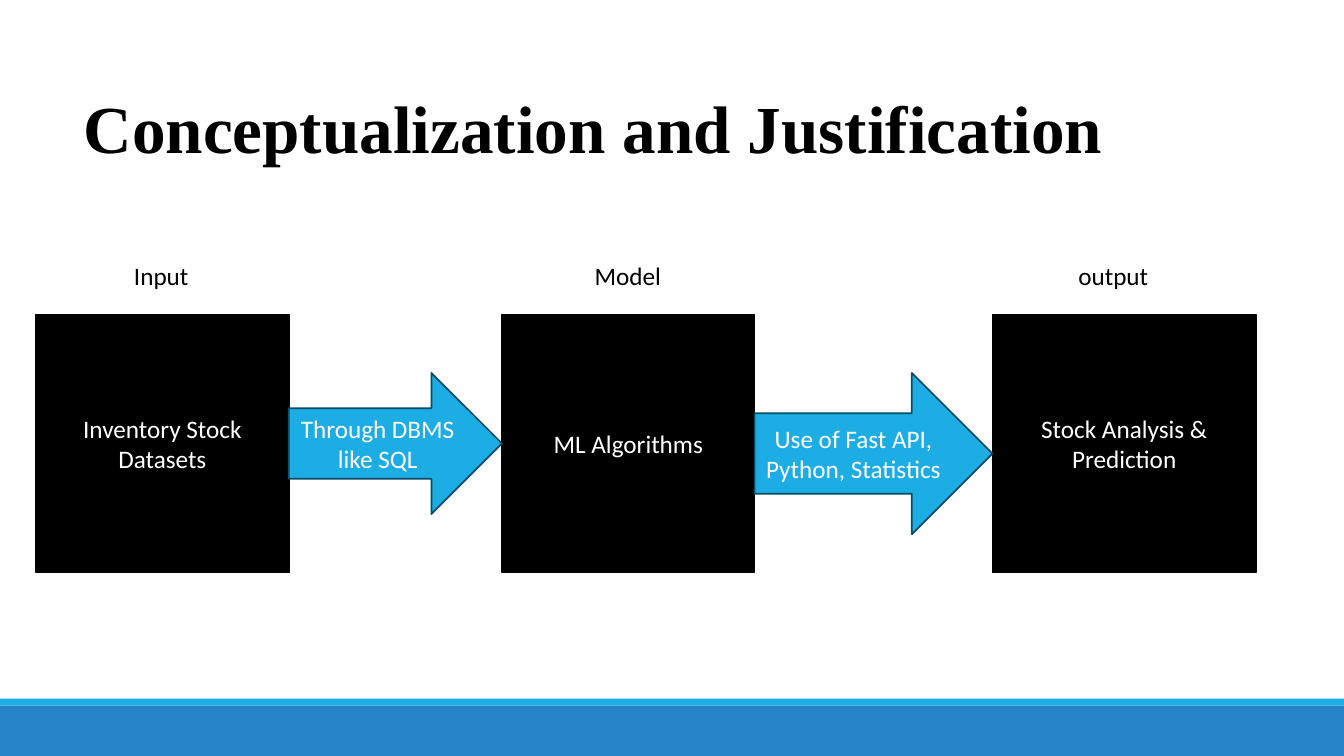
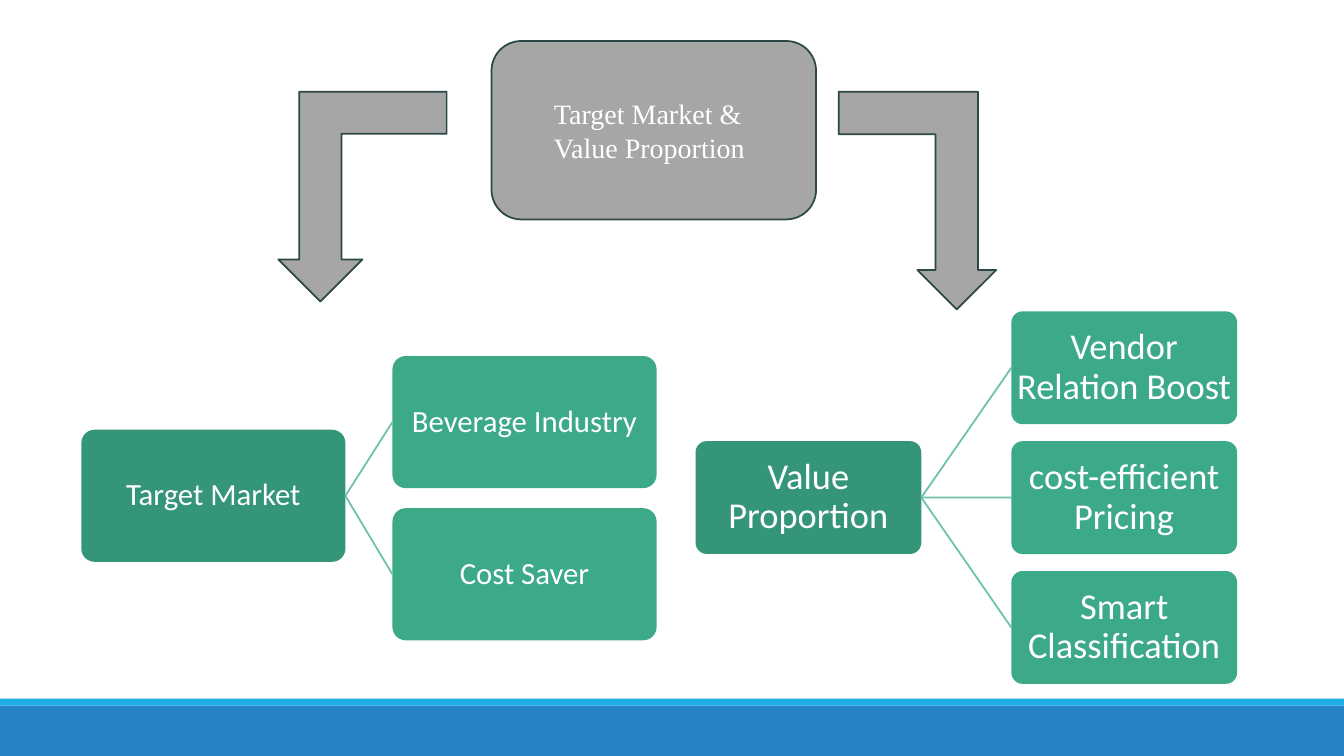
from dataclasses import dataclass
from typing import Optional

from lxml import etree
from pptx import Presentation
from pptx import util as u
from pptx.dml.color import RGBColor
from pptx.enum import shapes, text
from pptx.oxml import ns

WIDTH, HEIGHT = u.Inches(13.333), u.Inches(7.5)
COLUMN, ROW = WIDTH / 100, HEIGHT / 100

BLACK = RGBColor(0x00, 0x00, 0x00)
WHITE = RGBColor(0xFF, 0xFF, 0xFF)
BLUE = RGBColor(0x26, 0x83, 0xC6)
CYAN = RGBColor(0x1C, 0xAD, 0xE4)
NAVY = RGBColor(0x0C, 0x4C, 0x64)
GREY = RGBColor(0xA6, 0xA6, 0xA6)
SLATE = RGBColor(0x2B, 0x47, 0x46)
ROOT_GREEN = RGBColor(0x35, 0x95, 0x79)
BRANCH_GREEN = RGBColor(0x3C, 0xA9, 0x89)
LINK_GREEN = RGBColor(0x6D, 0xC2, 0xA5)
SANS, SERIF = "Calibri", "Times New Roman"
OUTLINE = u.Pt(1.25)
NODE_INSET = u.Inches(0.02)
SHAPE = shapes.MSO_SHAPE


@dataclass(frozen=True)
class Area:
    left: float
    top: float
    width: float
    height: float

    def emu(self) -> tuple[int, int, int, int]:
        return (round(self.left * COLUMN), round(self.top * ROW),
                round(self.width * COLUMN), round(self.height * ROW))


@dataclass(frozen=True)
class Type:
    size: float
    color: RGBColor = WHITE
    font: str = SANS
    bold: bool = False
    align: text.PP_ALIGN = text.PP_ALIGN.CENTER


@dataclass(frozen=True)
class Stage:
    caption: str
    caption_left: float
    content: str
    left: float
    width: float


@dataclass(frozen=True)
class Flow:
    content: str
    height: float


@dataclass(frozen=True)
class Tree:
    root: str
    branches: tuple[str, ...]
    root_left: float
    root_top: float
    branch_left: float
    branch_top: float
    pitch: float
    width: float
    height: float
    size: float


BANDS = ((Area(0, 93.33, 100, 6.67), BLUE), (Area(0, 92.4, 100, 0.93), CYAN))
TITLE = Type(48, BLACK, SERIF, True, text.PP_ALIGN.LEFT)
CAPTION = Type(18, BLACK, align=text.PP_ALIGN.LEFT)
HUB = Type(20, font=SERIF, align=text.PP_ALIGN.LEFT)
BODY = Type(18)

STAGES = (
    Stage("Input", 9.23, "Inventory Stock Datasets", 2.68, 18.8),
    Stage("Model", 43.5, "ML Algorithms", 37.35, 18.8),
    Stage("output", 79.5, "Stock Analysis & Prediction", 73.85, 19.6),
)
FLOWS = (
    Flow("Through DBMS like SQL", 18.67),
    Flow("Use of Fast API, Python, Statistics", 21.33),
)
TREES = (
    Tree("Value Proportion",
         ("Vendor Relation Boost", "cost-efficient Pricing", "Smart Classification"),
         51.75, 58.35, 75.25, 41.18, 17.18, 16.8, 14.93, 26),
    Tree("Target Market", ("Beverage Industry", "Cost Saver"),
         6.05, 56.85, 29.2, 47.1, 20.13, 19.65, 17.47, 22),
)


def write(target, content: str, style: Type) -> None:
    frame = target.text_frame
    frame.text = content
    paragraph = frame.paragraphs[0]
    paragraph.alignment = style.align
    font = paragraph.runs[0].font
    font.size, font.name, font.bold = u.Pt(style.size), style.font, style.bold
    font.color.rgb = style.color


def add_block(slide, kind: shapes.MSO_SHAPE, area: Area, fill: RGBColor,
              outline: Optional[RGBColor] = None, content: str = "",
              style: Type = BODY):
    block = slide.shapes.add_shape(kind, *area.emu())
    block.shadow.inherit = False
    block.fill.solid()
    block.fill.fore_color.rgb = fill
    if outline is None:
        block.line.fill.background()
    else:
        block.line.color.rgb = outline
        block.line.width = OUTLINE
    if content:
        block.text_frame.word_wrap = True
        block.text_frame.vertical_anchor = text.MSO_ANCHOR.MIDDLE
        write(block, content, style)
    return block


def add_label(slide, area: Area, content: str, style: Type, wrap: bool) -> None:
    label = slide.shapes.add_textbox(*area.emu())
    label.text_frame.word_wrap = wrap
    write(label, content, style)


def add_banded_slide(deck):
    slide = deck.slides.add_slide(deck.slide_layouts[6])
    for area, color in BANDS:
        add_block(slide, SHAPE.RECTANGLE, area, color)
    return slide


def add_node(slide, tree: Tree, left: float, top: float, fill: RGBColor, content: str):
    node = add_block(slide, SHAPE.ROUNDED_RECTANGLE,
                     Area(left, top, tree.width, tree.height),
                     fill, content=content, style=Type(tree.size))
    node.adjustments[0] = 0.1
    frame = node.text_frame
    frame.margin_left = frame.margin_right = NODE_INSET
    frame.margin_top = frame.margin_bottom = NODE_INSET
    frame.paragraphs[0].line_spacing = 0.9
    return node


def add_tree(slide, tree: Tree) -> None:
    root = add_node(slide, tree, tree.root_left, tree.root_top, ROOT_GREEN, tree.root)
    for index, content in enumerate(tree.branches):
        branch = add_node(slide, tree, tree.branch_left,
                          tree.branch_top + index * tree.pitch, BRANCH_GREEN, content)
        link = slide.shapes.add_connector(shapes.MSO_CONNECTOR.STRAIGHT, 0, 0, 0, 0)
        link.begin_connect(root, 3)
        link.end_connect(branch, 1)
        link.line.color.rgb = LINK_GREEN
        link.line.width = OUTLINE
        etree.SubElement(link._element.spPr, ns.qn("a:effectLst"))


def add_bent_arrow(slide, area: Area, shaft: float, mirrored: bool) -> None:
    arrow = add_block(slide, SHAPE.BENT_UP_ARROW, area, GREY, SLATE)
    arrow.adjustments[0] = shaft
    arrow.rotation = 180
    if mirrored:
        arrow._element.spPr.find(ns.qn("a:xfrm")).set("flipH", "1")


def build_concept(deck) -> None:
    slide = add_banded_slide(deck)
    for stage in STAGES:
        add_block(slide, SHAPE.RECTANGLE, Area(stage.left, 41.6, stage.width, 34.13),
                  BLACK, BLACK, stage.content)
        add_label(slide, Area(stage.caption_left, 33.73, 6.7, 5.33),
                  stage.caption, CAPTION, False)
    for flow, source, target in zip(FLOWS, STAGES, STAGES[1:]):
        start = source.left + source.width
        add_block(slide, SHAPE.RIGHT_ARROW,
                  Area(start, 49.33, target.left - start, flow.height),
                  CYAN, NAVY, flow.content)
    add_label(slide, Area(5.48, 10.8, 80.85, 12.13),
              "Conceptualization and Justification", TITLE, True)


def build_market(deck) -> None:
    slide = add_banded_slide(deck)
    for tree in TREES:
        add_tree(slide, tree)
    hub = add_block(slide, SHAPE.ROUNDED_RECTANGLE, Area(36.57, 5.43, 24.15, 23.6),
                    GREY, SLATE, "Target Market & Value Proportion", HUB)
    hub.text_frame.margin_left = round(4 * COLUMN)
    hub.text_frame.margin_right = round(3.3 * COLUMN)
    add_bent_arrow(slide, Area(20.7, 12.13, 12.53, 27.75), 0.25, False)
    add_bent_arrow(slide, Area(62.4, 12.13, 11.72, 28.8), 0.27, True)


def main() -> None:
    deck = Presentation()
    deck.slide_width, deck.slide_height = WIDTH, HEIGHT
    build_concept(deck)
    build_market(deck)
    deck.save("out.pptx")


if __name__ == "__main__":
    main()
